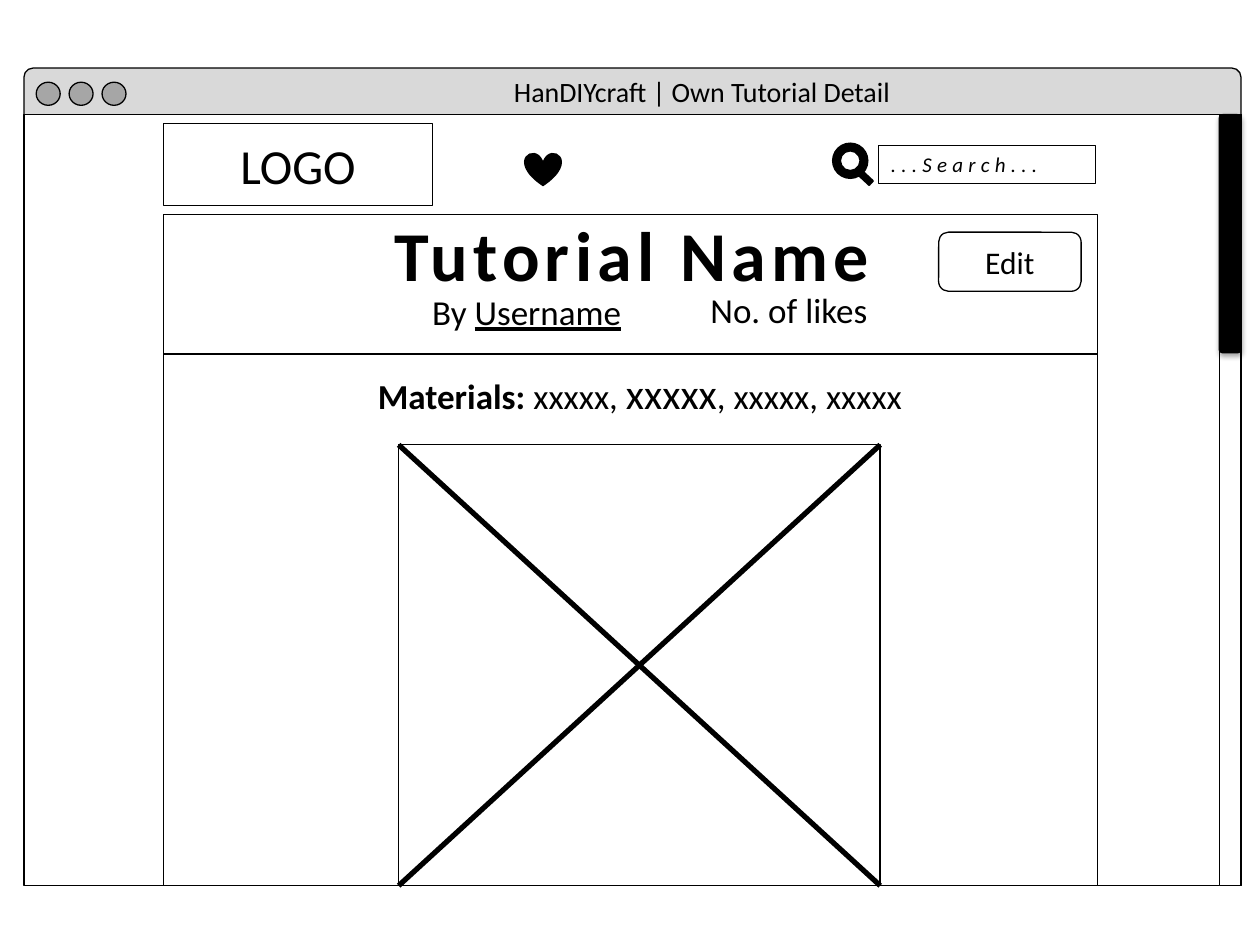
from dataclasses import dataclass
from typing import Optional

from lxml import etree
from pptx import Presentation
from pptx.dml.color import RGBColor
from pptx.enum import shapes, text
from pptx.oxml import ns
from pptx.util import Pt

BLACK, WHITE, BAR_GREY, BUTTON_GREY = "000000", "FFFFFF", "D9D9D9", "A6A6A6"
WINDOW_LEFT, WINDOW_TOP, WINDOW_WIDTH, WINDOW_BOTTOM = 13.7, 65.5, 695.5, 506.1
PAGE_LEFT, PAGE_TOP, PAGE_WIDTH = 93.6, 122.4, 533.5
PHOTO_LEFT, PHOTO_TOP, PHOTO_WIDTH = 227.8, 254.2, 275.2
SCROLL_WIDTH = 12.5
SCROLL_LEFT = WINDOW_LEFT + WINDOW_WIDTH - SCROLL_WIDTH
WINDOW_HEIGHT = WINDOW_BOTTOM - WINDOW_TOP
KIND = shapes.MSO_SHAPE


@dataclass
class Box:
    """A preset shape with its place and colours."""
    kind: int
    left: float
    top: float
    width: float
    height: float
    fill: Optional[str] = WHITE
    line: Optional[str] = BLACK
    rotation: float = 0


@dataclass
class Label:
    """A free line of text made of runs."""
    left: float
    top: float
    width: float
    height: float
    runs: list
    size: float = 20
    wrap: bool = False


def color(value: str) -> RGBColor:
    """Return the colour for a hex string."""
    return RGBColor.from_string(value)


def write(shape, runs, size=20, align=text.PP_ALIGN.LEFT, anchor=text.MSO_ANCHOR.TOP,
          wrap=True, grow=False, spacing=0, bold=False, italic=False) -> None:
    """Fill a shape with one paragraph; runs are (text, font overrides) pairs."""
    frame = shape.text_frame
    frame.word_wrap = wrap
    frame.vertical_anchor = anchor
    frame.auto_size = (text.MSO_AUTO_SIZE.SHAPE_TO_FIT_TEXT if grow
                       else text.MSO_AUTO_SIZE.NONE)
    paragraph = frame.paragraphs[0]
    paragraph.alignment = align
    for words, changes in runs:
        run = paragraph.add_run()
        run.text = words
        style = {"name": "Calibri", "size": size, "bold": bold, "italic": italic, **changes}
        style["size"] = Pt(style["size"])
        for key, value in style.items():
            setattr(run.font, key, value)
        run.font.color.rgb = color(BLACK)
        if spacing:
            run.font._element.set("spc", str(spacing * 100))


def draw_box(slide, box: Box):
    """Draw a preset shape."""
    shape = slide.shapes.add_shape(box.kind, Pt(box.left), Pt(box.top),
                                   Pt(box.width), Pt(box.height))
    shape.shadow.inherit = False
    shape.rotation = box.rotation
    if box.fill:
        shape.fill.solid()
        shape.fill.fore_color.rgb = color(box.fill)
    else:
        shape.fill.background()
    if box.line:
        shape.line.color.rgb = color(box.line)
        shape.line.width = Pt(0.75)
    else:
        shape.line.fill.background()
    return shape


def draw_label(slide, label: Label) -> None:
    """Draw a text box."""
    shape = slide.shapes.add_textbox(Pt(label.left), Pt(label.top),
                                     Pt(label.width), Pt(label.height))
    write(shape, label.runs, size=label.size, wrap=label.wrap, grow=True)


def draw_line(slide, left: float, top: float, right: float, bottom: float,
              width: float) -> None:
    """Draw a straight black line without shadow."""
    line = slide.shapes.add_connector(shapes.MSO_CONNECTOR.STRAIGHT, Pt(left), Pt(top),
                                      Pt(right), Pt(bottom))
    line.line.color.rgb = color(BLACK)
    line.line.width = Pt(width)
    etree.SubElement(line._element.spPr, ns.qn("a:effectLst"))


def add_shadow(shape, blur: float, distance: float, alpha: int) -> None:
    """Give a shape a soft black shadow below it."""
    effects = shape._element.spPr.find(ns.qn("a:effectLst"))
    shadow = etree.SubElement(effects, ns.qn("a:outerShdw"), blurRad=str(Pt(blur)),
                              dist=str(Pt(distance)), dir="5400000", rotWithShape="0")
    tint = etree.SubElement(shadow, ns.qn("a:srgbClr"), val=BLACK)
    etree.SubElement(tint, ns.qn("a:alpha"), val=str(alpha * 1000))


def draw_browser(slide) -> None:
    """Draw the window, its buttons, the page and the scroll bar."""
    draw_box(slide, Box(KIND.ROUNDED_RECTANGLE, WINDOW_LEFT, 38.9, WINDOW_WIDTH, 31.7,
                        BAR_GREY))
    draw_box(slide, Box(KIND.RECTANGLE, WINDOW_LEFT, WINDOW_TOP, WINDOW_WIDTH, WINDOW_HEIGHT))
    for index in range(3):
        draw_box(slide, Box(KIND.OVAL, 20.7 + 18.8 * index, 47, 13.7, 13.2, BUTTON_GREY))
    draw_box(slide, Box(KIND.RECTANGLE, PAGE_LEFT, PAGE_TOP, PAGE_WIDTH,
                        WINDOW_BOTTOM - PAGE_TOP))
    draw_box(slide, Box(KIND.RECTANGLE, SCROLL_LEFT, WINDOW_TOP, SCROLL_WIDTH, WINDOW_HEIGHT))
    thumb = draw_box(slide, Box(KIND.ROUNDED_RECTANGLE, SCROLL_LEFT, WINDOW_TOP,
                                SCROLL_WIDTH, 136.1, BLACK))
    add_shadow(thumb, 3.1, 1.8, 35)


def draw_header(slide) -> None:
    """Draw the logo box, the search field and the icons."""
    logo = draw_box(slide, Box(KIND.RECTANGLE, PAGE_LEFT, 70.6, 153.4, 46.8))
    write(logo, [("LOGO", {})], size=28, align=text.PP_ALIGN.CENTER,
          anchor=text.MSO_ANCHOR.MIDDLE)
    draw_box(slide, Box(KIND.ROUNDED_RECTANGLE, 501.1, 85, 126, 27.4, line=None))
    search = draw_box(slide, Box(KIND.RECTANGLE, 502, 83, 124, 21.8, None))
    write(search, [("...Search...", {})], size=12, grow=True, spacing=3, italic=True)
    draw_box(slide, Box(KIND.DONUT, 475.4, 81.4, 20.9, 20.9, BLACK, None))
    draw_box(slide, Box(KIND.ROUNDED_RECTANGLE, 488.2, 98.9, 11.5, 4.3, BLACK, None, 43.1))
    draw_box(slide, Box(KIND.HEART, 299.5, 87.1, 21.6, 19.4, BLACK, None))


def draw_tutorial(slide) -> None:
    """Draw the tutorial heading, details, photo frame and edit button."""
    title = slide.shapes.title
    slide.shapes.element.append(title.element)
    title.left, title.top, title.width, title.height = Pt(218.2), Pt(117.4), Pt(299.5), Pt(55.7)
    write(title, [("Tutorial Name", {})], size=40, grow=True, spacing=3, bold=True)
    labels = [
        Label(286.6, 38.9, 235.4, 26.7, [("HanDIYcraft | Own Tutorial Detail", {})], 16, True),
        Label(239.8, 162.4, 123.8, 31.5, [("By ", {}), ("Username", {"underline": True})]),
        Label(398.9, 161.3, 105.8, 31.5, [("No. of likes", {})]),
        Label(208.8, 206.6, 316.8, 36.3, [("Materials: ", {"bold": True}), ("xxxxx, ", {}),
                                          ("xxxxx", {"size": 24}), (", xxxxx, xxxxx", {})]),
    ]
    for label in labels:
        draw_label(slide, label)
    draw_line(slide, PAGE_LEFT, 202.5, PAGE_LEFT + PAGE_WIDTH, 202.5, 1)
    draw_box(slide, Box(KIND.RECTANGLE, PHOTO_LEFT, PHOTO_TOP, PHOTO_WIDTH,
                        WINDOW_BOTTOM - PHOTO_TOP, None))
    right = PHOTO_LEFT + PHOTO_WIDTH
    for start, end in ((PHOTO_TOP, WINDOW_BOTTOM), (WINDOW_BOTTOM, PHOTO_TOP)):
        draw_line(slide, PHOTO_LEFT, start, right, end, 3)
    edit = draw_box(slide, Box(KIND.ROUNDED_RECTANGLE, 536.4, 132.7, 81.4, 33.8, None))
    write(edit, [("Edit", {})], size=18, align=text.PP_ALIGN.CENTER,
          anchor=text.MSO_ANCHOR.MIDDLE)


def main() -> None:
    """Build the slide and save it."""
    presentation = Presentation()
    presentation.slide_width, presentation.slide_height = Pt(720), Pt(540)
    slide = presentation.slides.add_slide(presentation.slide_layouts[5])
    draw_browser(slide)
    draw_header(slide)
    draw_tutorial(slide)
    presentation.save("out.pptx")


if __name__ == "__main__":
    main()
